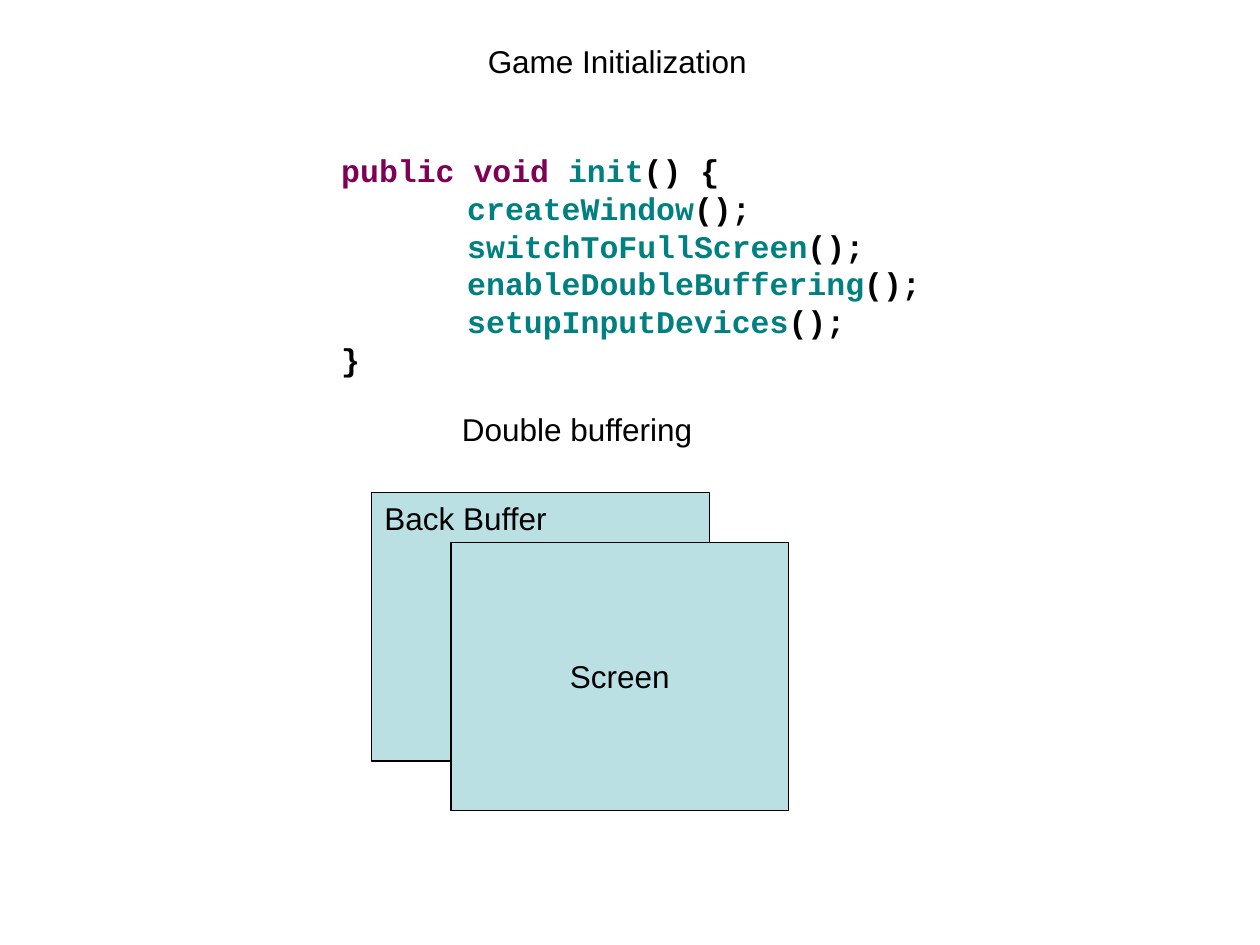
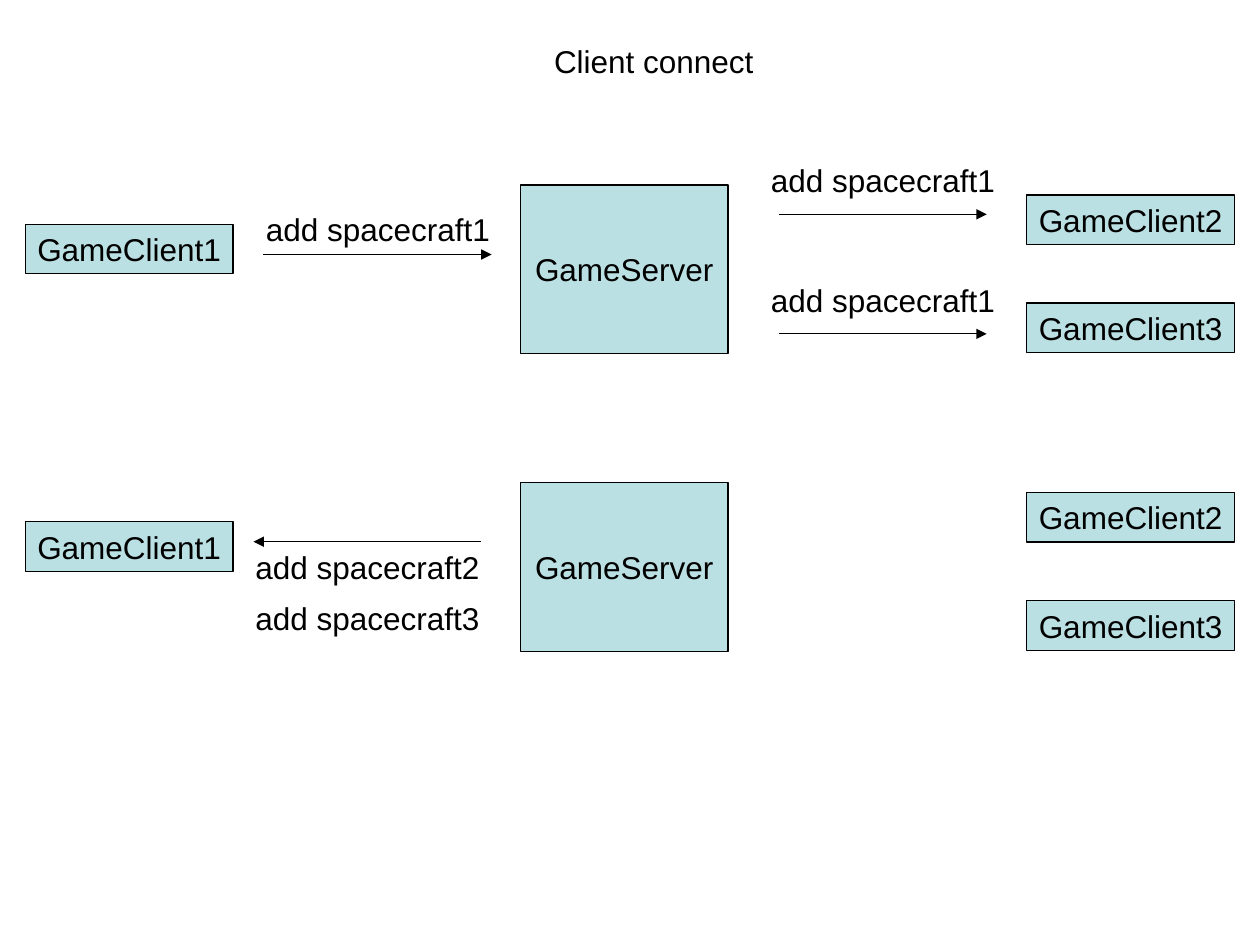
from lxml import etree
from pptx import Presentation
from pptx.dml.color import RGBColor
from pptx.enum.shapes import MSO_CONNECTOR, MSO_SHAPE
from pptx.enum.text import MSO_ANCHOR, MSO_AUTO_SIZE, PP_ALIGN
from pptx.oxml.ns import qn
from pptx.util import Cm, Pt

RECT, STRAIGHT = MSO_SHAPE.RECTANGLE, MSO_CONNECTOR.STRAIGHT
LEFT, CENTER = PP_ALIGN.LEFT, PP_ALIGN.CENTER
TOP, MIDDLE = MSO_ANCHOR.TOP, MSO_ANCHOR.MIDDLE
FIXED = MSO_AUTO_SIZE.NONE

BLACK, PALE, KEYWORD, METHOD = "000000", "BBE0E3", "7F0055", "008080"
BODY = {"name": "Arial", "size": Pt(18), "bold": False}
CODE = {"name": "Courier New", "size": Pt(18), "bold": True}
LINE_H = 1.02   # height of a one-line text box, cm
NODE_W = 4.19   # width of clients and servers, cm
CLIENT_H = 1

INIT_CODE = [
    (0, [("public void ", KEYWORD), ("init", METHOD), ("() {", BLACK)]),
    *[(1, [(call, METHOD), ("();", BLACK)]) for call in (
        "createWindow", "switchToFullScreen",
        "enableDoubleBuffering", "setupInputDevices")],
    (0, [("}", BLACK)]),
]


def rgb(color):
    return RGBColor.from_string(color)


def set_all(obj, values):
    for name, value in values.items():
        setattr(obj, name, value)


def add_run(p, text, style=BODY, color=BLACK):
    r = p.add_run()
    r.text = text
    set_all(r.font, style)
    r.font.color.rgb = rgb(color)


def write(sp, text, align, anchor=TOP, wrap=True):
    tf = sp.text_frame
    set_all(tf, {"auto_size": FIXED, "word_wrap": wrap, "vertical_anchor": anchor,
                 "margin_left": Cm(0.25), "margin_right": Cm(0.25),
                 "margin_top": Cm(0.13), "margin_bottom": Cm(0.13)})
    p = tf.paragraphs[0]
    p.alignment = align
    add_run(p, text)


def add_label(slide, text, x, y, w, align=LEFT):
    sp = slide.shapes.add_textbox(Cm(x), Cm(y), Cm(w), Cm(LINE_H))
    write(sp, text, align)


def add_box(slide, x, y, w, h, text=None):
    sp = slide.shapes.add_shape(RECT, Cm(x), Cm(y), Cm(w), Cm(h))
    sp.shadow.inherit = False
    sp.fill.solid()
    sp.fill.fore_color.rgb = rgb(PALE)
    sp.line.color.rgb = rgb(BLACK)
    sp.line.width = Pt(0.75)
    if text:
        write(sp, text, CENTER, MIDDLE, wrap=False)


def add_arrow(slide, x1, x2, y):
    line = slide.shapes.add_connector(STRAIGHT, Cm(x1), Cm(y), Cm(x2), Cm(y))
    line.line.color.rgb = rgb(BLACK)
    line.line.width = Pt(0.75)
    etree.SubElement(line.line._get_or_add_ln(), qn("a:tailEnd"), type="triangle")
    etree.SubElement(line._element.spPr, qn("a:effectLst"))


def add_titled_slide(prs, title, x, w):
    slide = prs.slides.add_slide(prs.slide_layouts[5])
    sp = slide.shapes.title
    set_all(sp, {"left": Cm(x), "top": Cm(0.71), "width": Cm(w), "height": Cm(LINE_H)})
    write(sp, title, CENTER)
    return slide


def add_code(slide, lines, x, y, w, h):
    tf = slide.shapes.add_textbox(Cm(x), Cm(y), Cm(w), Cm(h)).text_frame
    tf.word_wrap = True
    for i, (depth, parts) in enumerate(lines):
        p = tf.add_paragraph() if i else tf.paragraphs[0]
        p._p.get_or_add_pPr().set("marL", str(Cm(2.54 * depth)))
        for text, color in parts:
            add_run(p, text, CODE, color)


def add_buffers(slide, x, y, w, h):
    """Caption above two overlapping buffers of size w by h."""
    add_box(slide, x, y, w, h)
    add_box(slide, x + 1.6, y + 1, w, h, "Screen")
    add_label(slide, "Double buffering", x + 0.41, y - 1.8, 7.47, CENTER)
    add_label(slide, "Back Buffer", x - 0.2, y, NODE_W, CENTER)


def add_network(slide, x, y):
    """One server between client 1 on the left and clients 2 and 3 on the right."""
    add_box(slide, x + 9.98, y, NODE_W, 3.4, "GameServer")
    for n, dx, dy in ((1, 0, 0.79), (2, 20.19, 0.2), (3, 20.19, 2.38)):
        add_box(slide, x + dx, y + dy, NODE_W, CLIENT_H, f"GameClient{n}")


def add_announcement(slide, x, y):
    """Client 1 reports its spacecraft and the server passes it on."""
    add_network(slide, x, y)
    text = "add spacecraft1"
    add_arrow(slide, x + 4.8, x + 9.4, y + 1.4)
    add_label(slide, text, x + 4.6, y + 0.38, 5.38)
    for dy in (0, 2.41):
        add_arrow(slide, x + 15.19, x + 19.38, y + dy + 0.59)
        add_label(slide, text, x + 14.78, y + dy - 0.61, 5.21)


def add_reply(slide, x, y):
    """The server sends the other spacecraft to client 1."""
    add_network(slide, x, y)
    add_arrow(slide, x + 9.19, x + 4.6, y + 1.19)
    for i, n in enumerate((2, 3)):
        add_label(slide, f"add spacecraft{n}", x + 4.39, y + 1.19 + i * LINE_H, 5.41)


def main():
    prs = Presentation()
    prs.slide_width, prs.slide_height = Cm(25.4), Cm(19.05)

    slide = add_titled_slide(prs, "Game Initialization", 8.71, 7.47)
    add_code(slide, INIT_CODE, 6.63, 2.92, 13.06, 4.83)
    add_buffers(slide, 7.49, 9.93, 6.81, 5.41)

    slide = add_titled_slide(prs, "Client connect", 10.49, 5.38)
    add_announcement(slide, 0.51, 3.73)
    add_reply(slide, 0.51, 9.73)

    prs.save("out.pptx")


if __name__ == "__main__":
    main()
